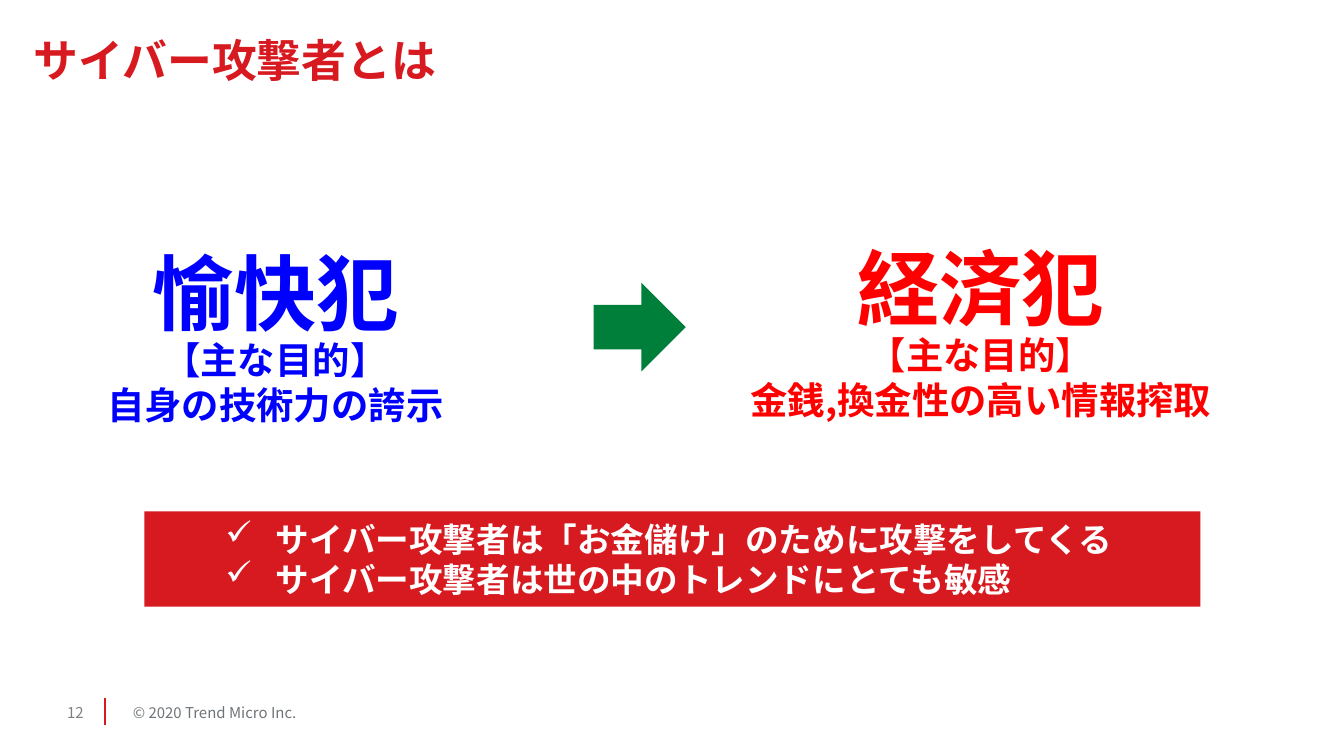
from dataclasses import dataclass

from lxml.etree import SubElement
from pptx import Presentation
from pptx.dml.color import RGBColor
from pptx.enum.shapes import MSO_CONNECTOR, MSO_SHAPE
from pptx.enum.text import MSO_ANCHOR, PP_ALIGN
from pptx.oxml.ns import qn
from pptx.util import Cm, Pt


@dataclass(frozen=True)
class Theme:
    font: str = "Noto Sans CJK JP"
    brand_red: str = "D71920"
    thrill_blue: str = "0000FF"
    profit_red: str = "FF0000"
    arrow_green: str = "007F3B"
    white: str = "FFFFFF"
    footer_gray: str = "6F7478"
    number_gray: str = "7F7F7F"
    headline_size: float = 44
    title_size: float = 24
    detail_size: float = 20
    message_size: float = 18
    footer_size: float = 8


THEME = Theme()


def write_text(paragraph, text, *, size, color, bold=False, align=None, line=None):
    run = paragraph.add_run()
    run.text = text
    font = run.font
    font.size = Pt(size)
    font.bold = bold
    font.color.rgb = RGBColor.from_string(color)
    font.name = THEME.font
    east_asian = SubElement(font._element, qn("a:ea"))
    east_asian.set("typeface", THEME.font)
    if align is not None:
        paragraph.alignment = align
    if line is not None:
        paragraph.line_spacing = Pt(line)


def add_text_frame(slide, left, top, width, height, anchor, bottom_inset=0):
    box = slide.shapes.add_textbox(Cm(left), Cm(top), Cm(width), Cm(height))
    frame = box.text_frame
    frame.word_wrap = True
    frame.vertical_anchor = anchor
    frame.margin_left = frame.margin_right = frame.margin_top = 0
    frame.margin_bottom = Cm(bottom_inset)
    return frame


def add_filled_shape(slide, kind, left, top, width, height, color):
    shape = slide.shapes.add_shape(kind, Cm(left), Cm(top), Cm(width), Cm(height))
    shape.shadow.inherit = False
    shape.fill.solid()
    shape.fill.fore_color.rgb = RGBColor.from_string(color)
    shape.line.fill.background()
    return shape


def next_paragraph(frame, index):
    return frame.add_paragraph() if index else frame.paragraphs[0]


def add_check_bullet(paragraph):
    paragraph.level = 1
    properties = paragraph._p.get_or_add_pPr()
    properties.set("marL", str(Cm(2.23)))
    properties.set("indent", str(Cm(-0.95)))
    SubElement(properties, qn("a:buChar")).set("char", "✓")


def add_attacker_type(slide, left, top, width, headline, purpose, color):
    frame = add_text_frame(slide, left, top, width, 3.86, MSO_ANCHOR.MIDDLE)
    lines = (
        (headline, THEME.headline_size, 53),
        ("【主な目的】", THEME.detail_size, 22),
        (purpose, THEME.detail_size, 24),
    )
    for index, (text, size, line) in enumerate(lines):
        write_text(next_paragraph(frame, index), text, size=size, color=color,
                   bold=True, align=PP_ALIGN.CENTER, line=line)


def add_messages(slide, messages):
    banner = add_filled_shape(slide, MSO_SHAPE.RECTANGLE, 2.73, 9.66, 19.96, 1.8,
                              THEME.brand_red)
    frame = banner.text_frame
    frame.word_wrap = True
    frame.vertical_anchor = MSO_ANCHOR.MIDDLE
    for index, message in enumerate(messages):
        paragraph = next_paragraph(frame, index)
        add_check_bullet(paragraph)
        write_text(paragraph, message, size=THEME.message_size, color=THEME.white,
                   bold=True, align=PP_ALIGN.LEFT, line=21.5)


def add_footer(slide):
    divider = slide.shapes.add_connector(MSO_CONNECTOR.STRAIGHT, Cm(1.98), Cm(13.18),
                                         Cm(1.98), Cm(13.7))
    divider.line.color.rgb = RGBColor.from_string(THEME.brand_red)
    divider.line.width = Pt(1)
    SubElement(divider._element.spPr, qn("a:effectLst"))
    for left, width, text, color in (
        (2.51, 4.24, "© 2020 Trend Micro Inc.", THEME.footer_gray),
        (1.27, 0.64, "12", THEME.number_gray),
    ):
        frame = add_text_frame(slide, left, 13.06, width, 0.79, MSO_ANCHOR.MIDDLE)
        write_text(frame.paragraphs[0], text, size=THEME.footer_size, color=color)


def add_title(slide, text):
    frame = add_text_frame(slide, 0.64, 0.36, 23.06, 1.47, MSO_ANCHOR.BOTTOM, 0.2)
    write_text(frame.paragraphs[0], text, size=THEME.title_size,
               color=THEME.brand_red, bold=True, line=29)


def main():
    presentation = Presentation()
    presentation.slide_width = Cm(25.4)
    presentation.slide_height = Cm(14.28)
    slide = presentation.slides.add_slide(presentation.slide_layouts[6])

    add_footer(slide)
    add_attacker_type(slide, 0, 4.39, 10.41, "愉快犯", "自身の技術力の誇示",
                      THEME.thrill_blue)
    add_attacker_type(slide, 13.36, 4.3, 10.36, "経済犯", "金銭,換金性の高い情報搾取",
                      THEME.profit_red)
    add_filled_shape(slide, MSO_SHAPE.RIGHT_ARROW, 11.22, 5.34, 1.74, 1.68,
                     THEME.arrow_green)
    add_messages(slide, (
        "サイバー攻撃者は「お金儲け」のために攻撃をしてくる",
        "サイバー攻撃者は世の中のトレンドにとても敏感",
    ))
    add_title(slide, "サイバー攻撃者とは")

    presentation.save("out.pptx")


if __name__ == "__main__":
    main()
